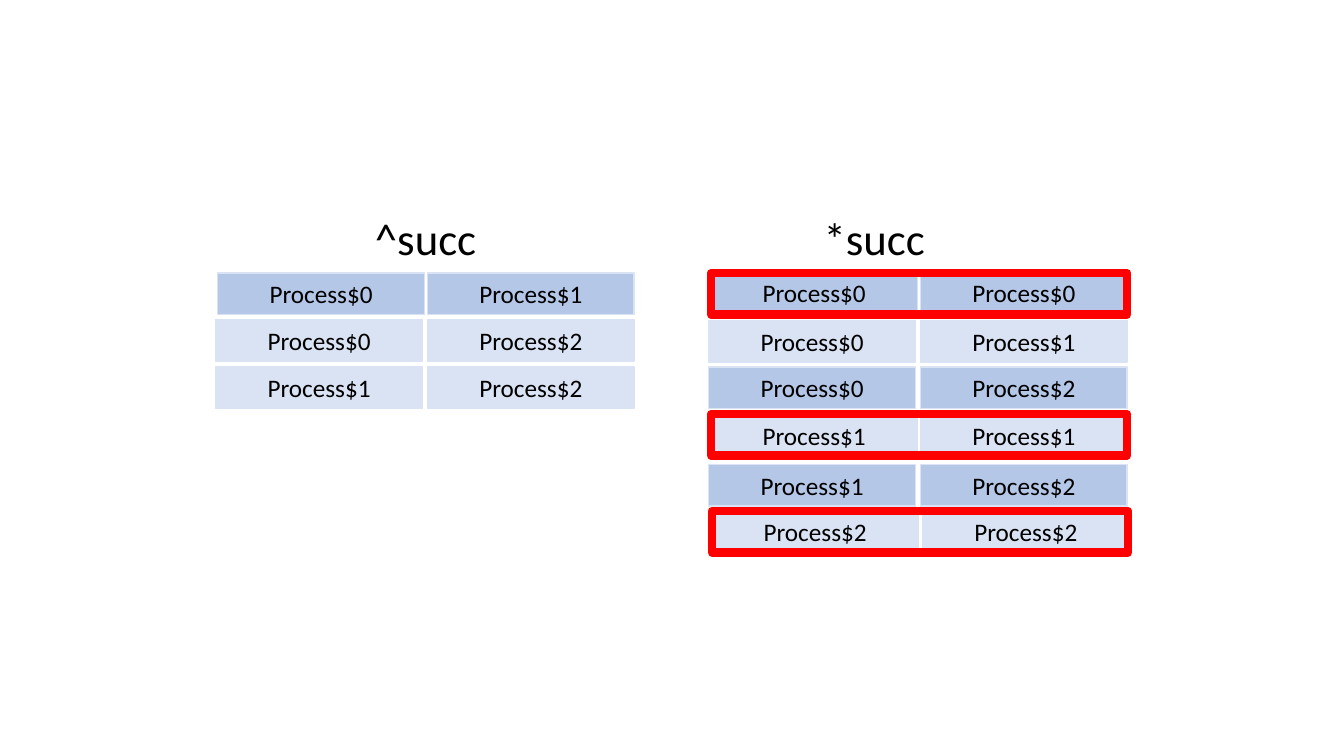
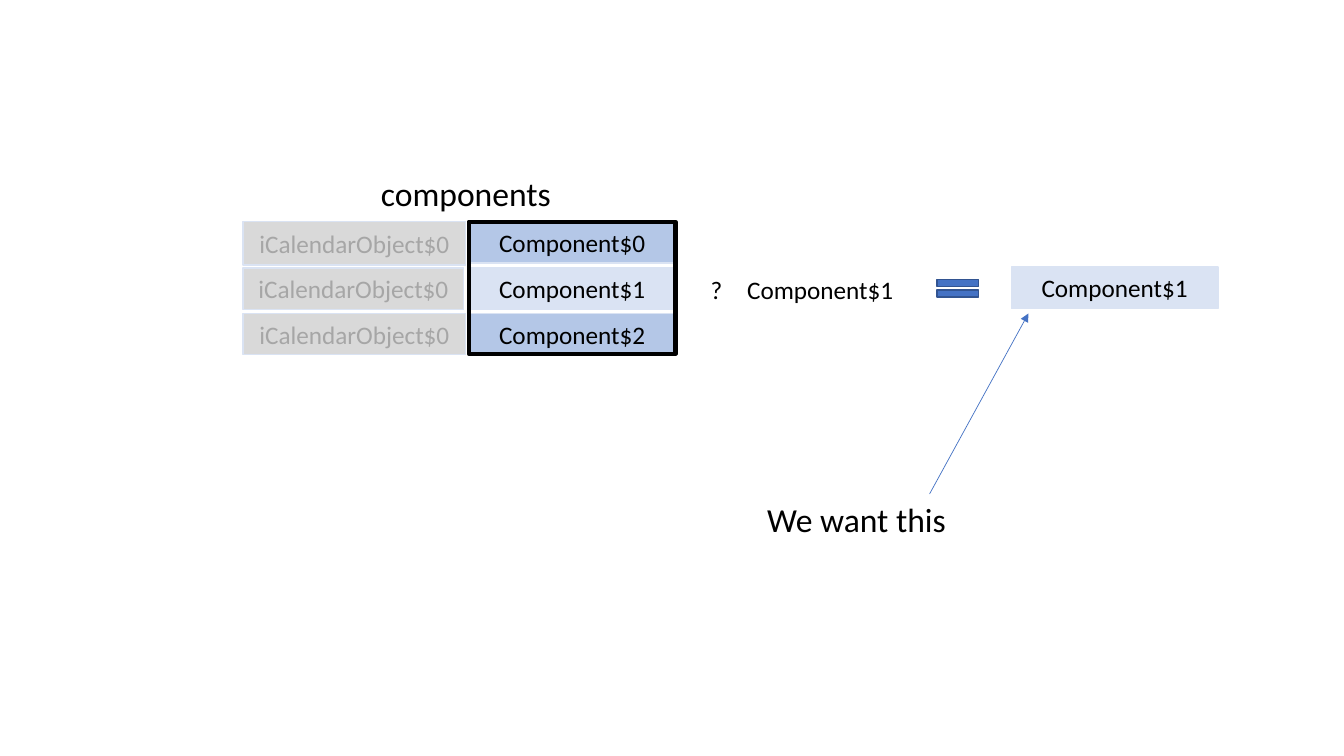
from dataclasses import dataclass

from lxml import etree
from pptx import Presentation
from pptx.dml.color import RGBColor
from pptx.enum.shapes import MSO_CONNECTOR, MSO_SHAPE
from pptx.enum.text import MSO_ANCHOR, MSO_AUTO_SIZE, PP_ALIGN
from pptx.oxml.ns import qn
from pptx.shapes.autoshape import Shape
from pptx.slide import Slide
from pptx.text.text import _Paragraph as Paragraph
from pptx.util import Inches, Pt

RECTANGLE = MSO_SHAPE.RECTANGLE
EQUAL_SIGN = MSO_SHAPE.MATH_EQUAL
STRAIGHT = MSO_CONNECTOR.STRAIGHT
MIDDLE = MSO_ANCHOR.MIDDLE
FIT_SHAPE = MSO_AUTO_SIZE.SHAPE_TO_FIT_TEXT
LEFT, CENTER = PP_ALIGN.LEFT, PP_ALIGN.CENTER

BLACK = RGBColor(0x00, 0x00, 0x00)
RED = RGBColor(0xFF, 0x00, 0x00)
BLUE = RGBColor(0x44, 0x72, 0xC4)
DARK_BLUE = RGBColor(0x32, 0x54, 0x91)
MEDIUM_BLUE = RGBColor(0xB4, 0xC7, 0xE7)
PALE_BLUE = RGBColor(0xDA, 0xE3, 0xF3)
LIGHT_GRAY = RGBColor(0xD9, 0xD9, 0xD9)
TEXT_GRAY = RGBColor(0xA6, 0xA6, 0xA6)

FONT = "Calibri"
BLANK_LAYOUT = 6
CELL_WIDTH, CELL_HEIGHT = 2.05, 0.41
PAIR_WIDTH = 4.13


@dataclass(frozen=True)
class Box:
    left: float
    top: float
    width: float = CELL_WIDTH
    height: float = CELL_HEIGHT


@dataclass(frozen=True)
class Cell:
    text: str
    box: Box
    fill: RGBColor = PALE_BLUE
    color: RGBColor = BLACK


@dataclass(frozen=True)
class Frame:
    box: Box
    color: RGBColor
    weight: float


@dataclass(frozen=True)
class Label:
    text: str
    box: Box
    size: int
    wrap: bool = False
    align: PP_ALIGN = LEFT


@dataclass(frozen=True)
class Pair:
    top: float
    first: int
    second: int
    left: float
    right: float
    fill: RGBColor = PALE_BLUE

    def cells(self) -> list[Cell]:
        return [
            Cell(f"Process${number}", Box(left, self.top), self.fill)
            for number, left in ((self.first, self.left), (self.second, self.right))
        ]


PAIRS = [
    Pair(2.71, 0, 1, 2.16, 4.24, MEDIUM_BLUE),
    Pair(3.17, 0, 2, 2.14, 4.24),
    Pair(3.64, 1, 2, 2.14, 4.24),
    Pair(2.7, 0, 0, 7.05, 9.13, MEDIUM_BLUE),
    Pair(3.18, 0, 1, 7.03, 9.13),
    Pair(3.64, 0, 2, 7.03, 9.13, MEDIUM_BLUE),
    Pair(4.11, 1, 1, 7.05, 9.13),
    Pair(4.61, 1, 2, 7.03, 9.13, MEDIUM_BLUE),
    Pair(5.07, 2, 2, 7.06, 9.15),
]
REFLEXIVE_FRAMES = [
    Frame(Box(left, top, PAIR_WIDTH), RED, 6)
    for left, top in ((7.05, 2.71), (7.05, 4.11), (7.06, 5.07))
]
RELATION_LABELS = [
    Label("^succ", Box(3.62, 2.04, 1.32, 0.64), 32, wrap=True),
    Label("*succ", Box(8.07, 2.04, 1.32, 0.64), 32, wrap=True),
]

COMPONENT_ROWS = [
    (2.2, 2.21, 0.43, MEDIUM_BLUE),
    (2.66, 2.19, CELL_HEIGHT, PALE_BLUE),
    (3.11, 2.21, CELL_HEIGHT, MEDIUM_BLUE),
]
COMPONENT_LEFT, OBJECT_LEFT = 4.65, 2.41
COMPONENT_FRAME = Frame(Box(COMPONENT_LEFT, 2.2, height=1.31), BLACK, 3)
RESULT = Cell("Component$1", Box(10.03, 2.65))
COMPONENT_LABELS = [
    Label("components", Box(3.68, 1.67, 1.9, 0.5), 24),
    Label("?", Box(6.95, 2.67, 0.32, 0.4), 18),
    Label("Component$1", Box(7.3, 2.67, 1.67, 0.4), 18, align=CENTER),
    Label("We want this", Box(7.51, 4.9, 1.99, 0.5), 24),
]


def set_text(paragraph: Paragraph, text: str, size: int, color: RGBColor, align: PP_ALIGN) -> None:
    paragraph.text = text
    paragraph.alignment = align
    paragraph.font.name = FONT
    paragraph.font.size = Pt(size)
    paragraph.font.color.rgb = color


def add_shape(
    slide: Slide, kind: MSO_SHAPE, box: Box, fill: RGBColor | None, line: RGBColor, weight: float = 1
) -> Shape:
    shape = slide.shapes.add_shape(
        kind, Inches(box.left), Inches(box.top), Inches(box.width), Inches(box.height)
    )
    shape.shadow.inherit = False
    if fill is None:
        shape.fill.background()
    else:
        shape.fill.solid()
        shape.fill.fore_color.rgb = fill
    shape.line.color.rgb = line
    shape.line.width = Pt(weight)
    return shape


def add_cell(slide: Slide, cell: Cell) -> None:
    shape = add_shape(slide, RECTANGLE, cell.box, cell.fill, PALE_BLUE)
    shape.text_frame.vertical_anchor = MIDDLE
    set_text(shape.text_frame.paragraphs[0], cell.text, 18, cell.color, CENTER)


def add_frame(slide: Slide, frame: Frame) -> None:
    add_shape(slide, RECTANGLE, frame.box, None, frame.color, frame.weight)


def add_label(slide: Slide, label: Label) -> None:
    box = label.box
    text_box = slide.shapes.add_textbox(
        Inches(box.left), Inches(box.top), Inches(box.width), Inches(box.height)
    )
    text_frame = text_box.text_frame
    text_frame.word_wrap = label.wrap
    text_frame.auto_size = FIT_SHAPE
    set_text(text_frame.paragraphs[0], label.text, label.size, BLACK, label.align)


def add_arrow(slide: Slide, start: tuple[float, float], end: tuple[float, float]) -> None:
    connector = slide.shapes.add_connector(STRAIGHT, *map(Inches, start + end))
    connector.line.color.rgb = BLUE
    connector.line.width = Pt(0.5)
    line = connector.line._get_or_add_ln()
    etree.SubElement(line, qn("a:tailEnd"), type="triangle")
    etree.SubElement(connector._element.spPr, qn("a:effectLst"))


def build_succ_slide(slide: Slide) -> None:
    for label in RELATION_LABELS:
        add_label(slide, label)
    for pair in PAIRS:
        for cell in pair.cells():
            add_cell(slide, cell)
    for frame in REFLEXIVE_FRAMES:
        add_frame(slide, frame)


def build_components_slide(slide: Slide) -> None:
    for number, (top, width, height, fill) in enumerate(COMPONENT_ROWS):
        add_cell(slide, Cell(f"Component${number}", Box(COMPONENT_LEFT, top), fill))
        object_box = Box(OBJECT_LEFT, top, width, height)
        add_cell(slide, Cell("iCalendarObject$0", object_box, LIGHT_GRAY, TEXT_GRAY))
    add_frame(slide, COMPONENT_FRAME)
    add_shape(slide, EQUAL_SIGN, Box(9.22, 2.71, 0.56, 0.3), BLUE, DARK_BLUE)
    add_arrow(slide, (9.22, 4.9), (10.2, 3.11))
    for label in COMPONENT_LABELS:
        add_label(slide, label)
    add_cell(slide, RESULT)


def main() -> None:
    presentation = Presentation()
    presentation.slide_width = Inches(13.33)
    presentation.slide_height = Inches(7.5)
    layout = presentation.slide_layouts[BLANK_LAYOUT]
    for build in (build_succ_slide, build_components_slide):
        build(presentation.slides.add_slide(layout))
    presentation.save("out.pptx")


if __name__ == "__main__":
    main()
